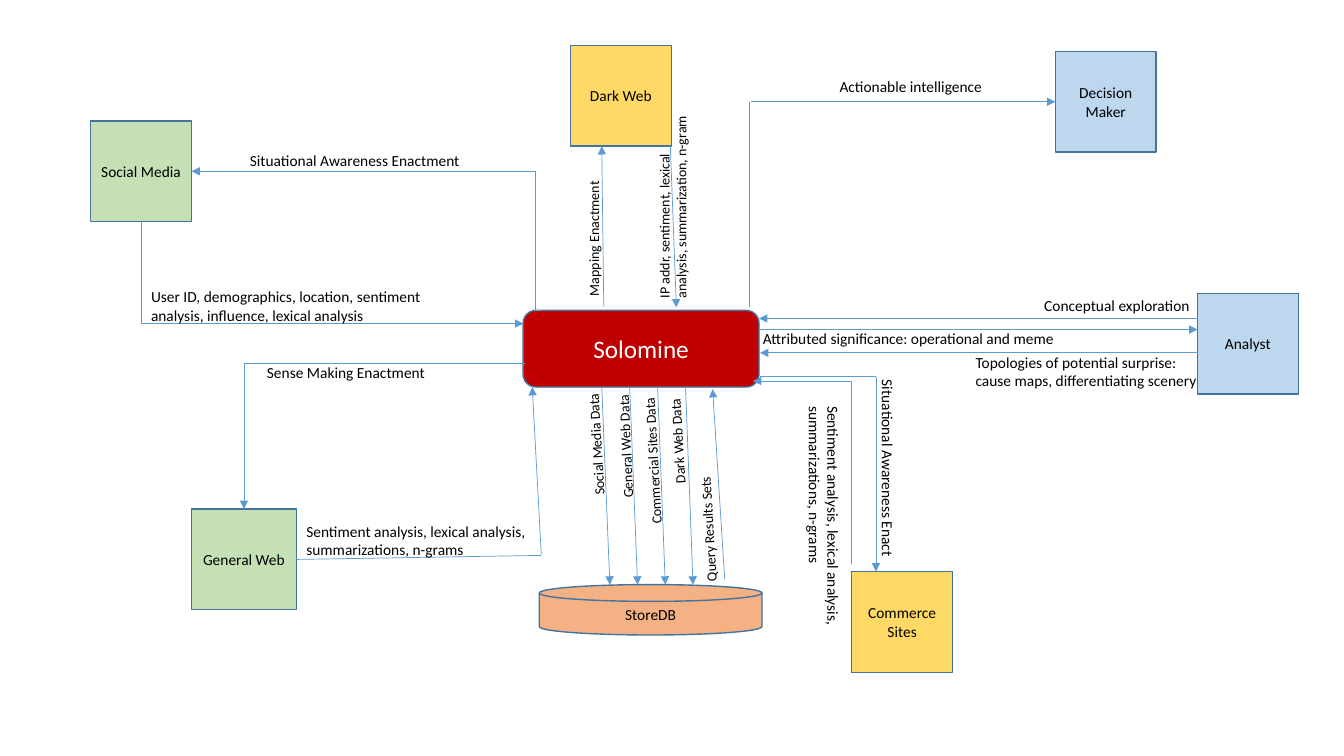
from dataclasses import dataclass
from typing import Optional

from lxml import etree
from pptx import Presentation
from pptx.dml.color import RGBColor
from pptx.enum.shapes import MSO_CONNECTOR, MSO_SHAPE
from pptx.enum.text import MSO_ANCHOR, MSO_AUTO_SIZE, PP_ALIGN
from pptx.oxml.ns import qn
from pptx.util import Inches, Pt

RECT = MSO_SHAPE.RECTANGLE
ROUND = MSO_SHAPE.ROUNDED_RECTANGLE
DISK = MSO_SHAPE.FLOWCHART_MAGNETIC_DISK
LINE = MSO_CONNECTOR.STRAIGHT
ELBOW = MSO_CONNECTOR.ELBOW
MIDDLE = MSO_ANCHOR.MIDDLE
CENTER = PP_ALIGN.CENTER
GROW = MSO_AUTO_SIZE.SHAPE_TO_FIT_TEXT
LEFT, RIGHT = 1, 3

# Grid of square cells, ten to the inch
CELL = 0.1
COLS, ROWS = 133.33, 75


@dataclass(frozen=True)
class Theme:
    font: str = "Calibri"
    ink: str = "000000"
    white: str = "FFFFFF"
    edge: str = "43739E"
    link: str = "5B9BD5"
    green: str = "C5E0B4"
    gold: str = "FFD966"
    blue: str = "BDD7EE"
    peach: str = "F4B183"
    red: str = "C00000"
    small: int = 10
    body: int = 11
    title: int = 18
    rim: float = 1
    thin: float = 0.5


THEME = Theme()


@dataclass(frozen=True)
class Node:
    text: str
    col: float
    row: float
    fill: str
    wide: float = 10
    tall: float = 10
    form: int = RECT
    ink: str = THEME.ink
    size: int = THEME.body


@dataclass(frozen=True)
class Link:
    start: tuple[float, float]
    end: tuple[float, float]
    arrow: bool = True
    bend: Optional[float] = None  # share of the width where an elbow turns
    source: str = ""  # node joined on its right side
    target: str = ""  # node joined on its left side


@dataclass(frozen=True)
class Label:
    text: str
    col: float
    row: float
    wide: float
    tall: float = 2.9
    turn: float = 0
    size: int = THEME.body


NODES = [
    Node("StoreDB", 53.5, 58, THEME.peach, 22.1, 5, DISK),
    Node("Solomine", 51.9, 30.8, THEME.red, 23.4, 7.6, ROUND, THEME.white, THEME.title),
    Node("Social Media", 9, 12, THEME.green),
    Node("General Web", 19, 50.5, THEME.green, 10.4),
    Node("Dark Web", 56.6, 4.5, THEME.gold),
    Node("Decision Maker", 104.7, 5.1, THEME.blue),
    Node("Analyst", 118.8, 29.1, THEME.blue),
    Node("Commerce Sites", 84.5, 56.7, THEME.gold),
]

# Four parallel feeds run from the hub down to the store
FEEDS = [Link((59.7 + 2.77 * i, 38.4), (60.5 + 2.75 * i, 58)) for i in range(4)]

LINKS = FEEDS + [
    Link((71.9, 57.5), (70.7, 38.6)),
    # Social media
    Link((14, 22), (51.9, 32.1), bend=0),
    Link((53.7, 30.8), (19, 17), bend=0.017),
    # General web
    Link((52.1, 36.1), (24.2, 50.5), bend=1),
    Link((29.4, 55.5), (53.7, 55.1), arrow=False, source="General Web"),
    Link((53.7, 55), (52.8, 38.4)),
    # Dark web
    Link((59.9, 30.4), (59.7, 14.5)),
    Link((66.5, 14.5), (67.1, 30.5)),
    # Decision maker
    Link((74.3, 30.5), (74.3, 10.1), arrow=False),
    Link((74.5, 10.1), (104.7, 10.1), target="Decision Maker"),
    # Analyst
    Link((118.8, 31.6), (75.3, 31.6)),
    Link((75.4, 32.7), (118.8, 32.7)),
    Link((118.8, 35), (75.4, 35)),
    # Commerce sites
    Link((75.4, 37.3), (86.9, 37.3), arrow=False),
    Link((86.9, 37.4), (86.9, 56.7)),
    Link((84.5, 56), (84.5, 37.8), arrow=False),
    Link((84.5, 37.8), (74.7, 37.8)),
]

GRAMS = "Sentiment analysis, lexical analysis, summarizations, n-grams"
LABELS = [
    Label("Social Media Data", 53, 42.6, 12.3, 2.7, 266.6, THEME.small),
    Label("General Web Data", 55.4, 42.4, 13.3, 2.7, 267.5, THEME.small),
    Label("Commercial Sites Data", 57, 43.9, 15.5, 2.7, 266.8, THEME.small),
    Label("Dark Web Data", 60.5, 41, 13.3, 2.7, 266.6, THEME.small),
    Label("Query Results Sets", 63.6, 50.7, 13.3, 2.7, 266.6, THEME.small),
    Label("Situational Awareness Enactment", 23.8, 14.5, 24.3),
    Label("User ID, demographics, location, sentiment analysis, influence, "
          "lexical analysis", 14, 28, 34.3, 4.7),
    Label("Sense Making Enactment", 25.5, 35.5, 24.3),
    Label(GRAMS, 29.4, 51.3, 24.3, 4.7),
    Label("Mapping Enactment", 51.8, 21.9, 14.2, 2.7, 270, THEME.small),
    Label("IP addr, sentiment, lexical analysis, summarization, n-gram",
          56.6, 18.2, 20.3, 4.4, 270, THEME.small),
    Label("Actionable intelligence", 82.3, 7.2, 21.9),
    Label("Conceptual exploration", 102.6, 28.9, 16.5),
    Label("Attributed significance: operational and meme", 74.7, 32.2, 31.4),
    Label("Topologies of potential surprise: cause maps, differentiating scenery",
          95.8, 34.5, 24.4, 4.7),
    Label("Situational Awareness Enact", 75.9, 47.4, 24.3, turn=90),
    Label(GRAMS, 69.6, 49.1, 24.3, 4.7, 90),
]


def span(*cells: float) -> list[int]:
    return [Inches(n * CELL) for n in cells]


def paint(text: str, frame, size: int, ink: str) -> None:
    frame.word_wrap = True
    run = frame.paragraphs[0].add_run()
    run.text = text
    run.font.name = THEME.font
    run.font.size = Pt(size)
    run.font.color.rgb = RGBColor.from_string(ink)


def draw_node(slide, node: Node):
    shape = slide.shapes.add_shape(
        node.form, *span(node.col, node.row, node.wide, node.tall))
    shape.shadow.inherit = False
    shape.fill.solid()
    shape.fill.fore_color.rgb = RGBColor.from_string(node.fill)
    shape.line.color.rgb = RGBColor.from_string(THEME.edge)
    shape.line.width = Pt(THEME.rim)
    paint(node.text, shape.text_frame, node.size, node.ink)
    shape.text_frame.vertical_anchor = MIDDLE
    shape.text_frame.paragraphs[0].alignment = CENTER
    return shape


def draw_link(slide, link: Link, nodes: dict) -> None:
    kind = LINE if link.bend is None else ELBOW
    wire = slide.shapes.add_connector(kind, *span(*link.start, *link.end))
    wire.line.color.rgb = RGBColor.from_string(THEME.link)
    wire.line.width = Pt(THEME.thin)
    props = wire.element.spPr
    if link.bend == 1:
        props.find(qn("a:prstGeom")).set("prst", "bentConnector2")
    elif link.bend is not None:
        guides = props.find(qn("a:prstGeom")).get_or_add_avLst()
        etree.SubElement(guides, qn("a:gd"), name="adj1",
                         fmla=f"val {round(link.bend * 100000)}")
    if link.arrow:
        etree.SubElement(props.find(qn("a:ln")), qn("a:tailEnd"), type="triangle")
    etree.SubElement(props, qn("a:effectLst"))
    if link.source:
        wire.begin_connect(nodes[link.source], RIGHT)
    if link.target:
        wire.end_connect(nodes[link.target], LEFT)


def draw_label(slide, label: Label) -> None:
    box = slide.shapes.add_textbox(
        *span(label.col, label.row, label.wide, label.tall))
    box.rotation = label.turn
    paint(label.text, box.text_frame, label.size, THEME.ink)
    box.text_frame.auto_size = GROW


def main() -> None:
    deck = Presentation()
    deck.slide_width, deck.slide_height = span(COLS, ROWS)
    slide = deck.slides.add_slide(deck.slide_layouts[6])
    nodes = {node.text: draw_node(slide, node) for node in NODES}
    for link in LINKS:
        draw_link(slide, link, nodes)
    for label in LABELS:
        draw_label(slide, label)
    deck.save("out.pptx")


if __name__ == "__main__":
    main()
